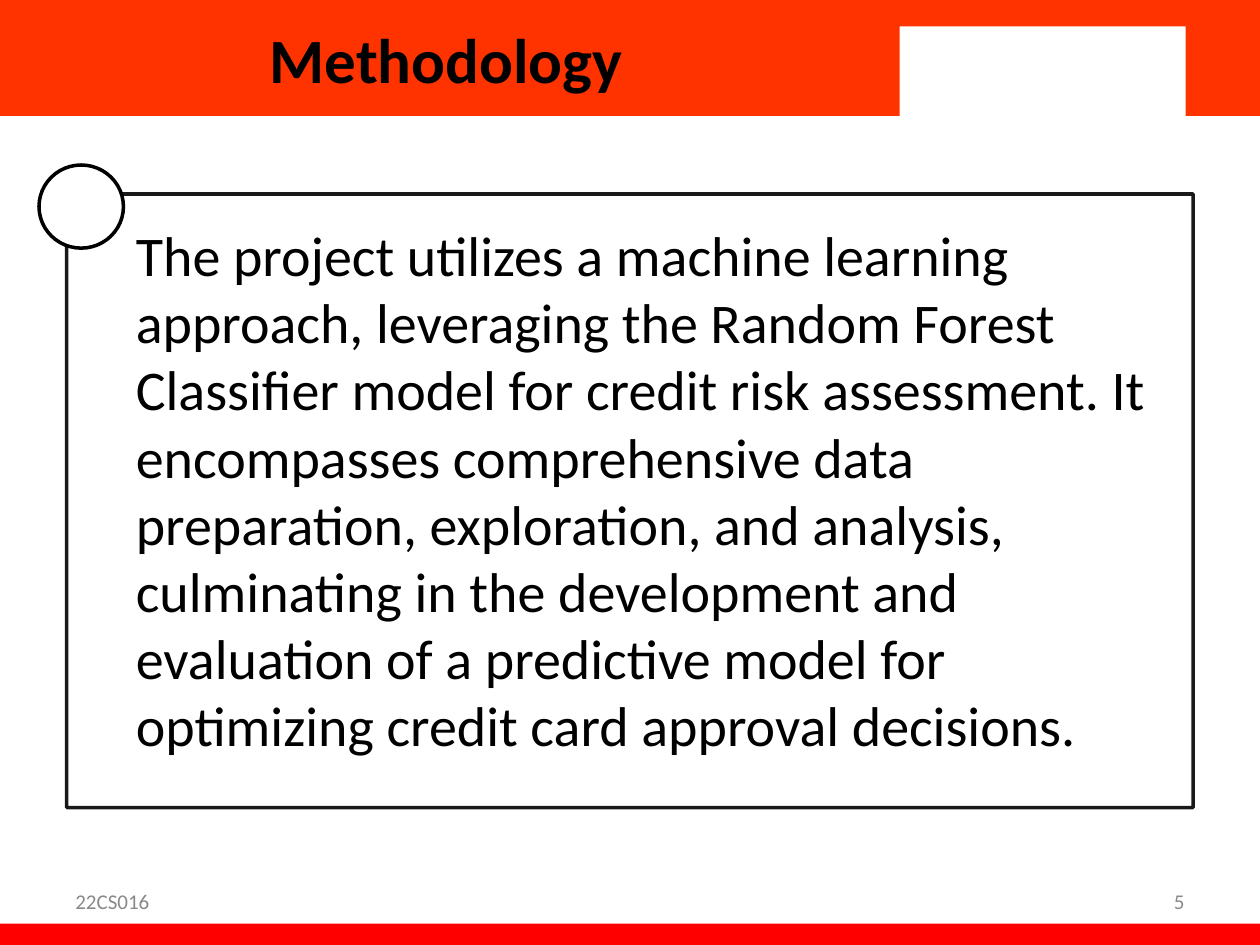
from lxml import etree
from pptx import Presentation
from pptx.dml.color import RGBColor
from pptx.enum.shapes import MSO_SHAPE
from pptx.enum.text import MSO_ANCHOR, PP_ALIGN
from pptx.oxml.ns import qn
from pptx.util import Inches, Pt

RECTANGLE, OVAL = MSO_SHAPE.RECTANGLE, MSO_SHAPE.OVAL
TOP, MIDDLE = MSO_ANCHOR.TOP, MSO_ANCHOR.MIDDLE
LEFT, CENTER, RIGHT = PP_ALIGN.LEFT, PP_ALIGN.CENTER, PP_ALIGN.RIGHT
TITLE_ONLY = 5

COLORS = {
    "header": "FF3300",
    "footer": "FF0000",
    "white": "FFFFFF",
    "black": "000000",
    "gray": "898989",
}
TITLE_FORMAT = {"size": Pt(36), "bold": True, "name": "Calibri"}
BODY_FORMAT = {"size": Pt(32), "bold": False, "name": "Calibri"}
FOOTER_FORMAT = {"size": Pt(12), "bold": False, "name": "Calibri"}

BODY_TEXT = (
    "The project utilizes a machine learning approach, leveraging the Random "
    "Forest Classifier model for credit risk assessment. It encompasses "
    "comprehensive data preparation, exploration, and analysis, culminating in "
    "the development and evaluation of a predictive model for optimizing credit "
    "card approval decisions."
)


def set_opacity(fill_parent, percent):
    color = fill_parent.find(qn("a:solidFill"))[0]
    etree.SubElement(color, qn("a:alpha")).set("val", str(percent * 1000))


def add_block(slide, kind, box, fill, line=None):
    shape = slide.shapes.add_shape(kind, *map(Inches, box))
    shape.shadow.inherit = False
    shape.fill.solid()
    shape.fill.fore_color.rgb = RGBColor.from_string(COLORS[fill])
    if line:
        shape.line.color.rgb = RGBColor.from_string(COLORS[line])
        shape.line.width = Pt(2)
    else:
        shape.line.fill.background()
    return shape


def write_text(shape, text, font_format, color, align=LEFT, anchor=MIDDLE):
    frame = shape.text_frame
    frame.word_wrap = True
    frame.vertical_anchor = anchor
    paragraph = frame.paragraphs[0]
    paragraph.alignment = align
    run = paragraph.add_run()
    run.text = text
    for attribute, value in font_format.items():
        setattr(run.font, attribute, value)
    run.font.color.rgb = RGBColor.from_string(COLORS[color])
    return paragraph


def add_header(slide, box):
    left, top, width, height = box
    add_block(slide, RECTANGLE, box, "header")
    # White panel in the right part of the band
    add_block(slide, RECTANGLE, (left + 7.14, top + 0.21, 2.27, 0.75), "white")

    # Title, brought in front of the band
    title = slide.shapes.title
    title.left, title.top = Inches(left), Inches(top)
    title.width, title.height = Inches(7.08), Inches(height)
    title.element.getparent().append(title.element)
    write_text(title, "Methodology", TITLE_FORMAT, "black", CENTER)


def add_framed_text(slide, box):
    left, top, width, height = box
    frame = add_block(slide, RECTANGLE, box, "white", "black")
    properties = frame.element.spPr
    set_opacity(properties, 90)
    set_opacity(properties.find(qn("a:ln")), 90)
    # Circle on the top left corner
    add_block(slide, OVAL, (left - 0.22, top - 0.23, 0.67, 0.66), "white", "black")

    body_box = (left + 0.33, top + 0.16, 8.64, 4.95)
    body = slide.shapes.add_textbox(*map(Inches, body_box))
    paragraph = write_text(body, BODY_TEXT, BODY_FORMAT, "black", anchor=TOP)
    paragraph.space_before = Pt(3.6)
    indent = paragraph._p.get_or_add_pPr()
    indent.set("marL", str(Inches(0.12)))
    indent.set("indent", "0")


def add_footer(slide, box):
    left, top, width, height = box
    add_block(slide, RECTANGLE, box, "footer")
    label_width, margin = 2.33, 0.5
    labels = (
        ("22CS016", left + margin, LEFT),
        ("5", left + width - margin - label_width, RIGHT),
    )
    for text, label_left, align in labels:
        label_box = (label_left, top - 0.38, label_width, 0.4)
        label = slide.shapes.add_textbox(*map(Inches, label_box))
        write_text(label, text, FOOTER_FORMAT, "gray", align)


def main():
    presentation = Presentation()
    presentation.slide_width, presentation.slide_height = Inches(10), Inches(7.5)
    slide = presentation.slides.add_slide(presentation.slide_layouts[TITLE_ONLY])
    add_header(slide, (0, 0, 10, 0.92))
    add_framed_text(slide, (0.53, 1.54, 8.94, 4.87))
    add_footer(slide, (0, 7.33, 10, 0.22))
    presentation.save("out.pptx")


if __name__ == "__main__":
    main()
